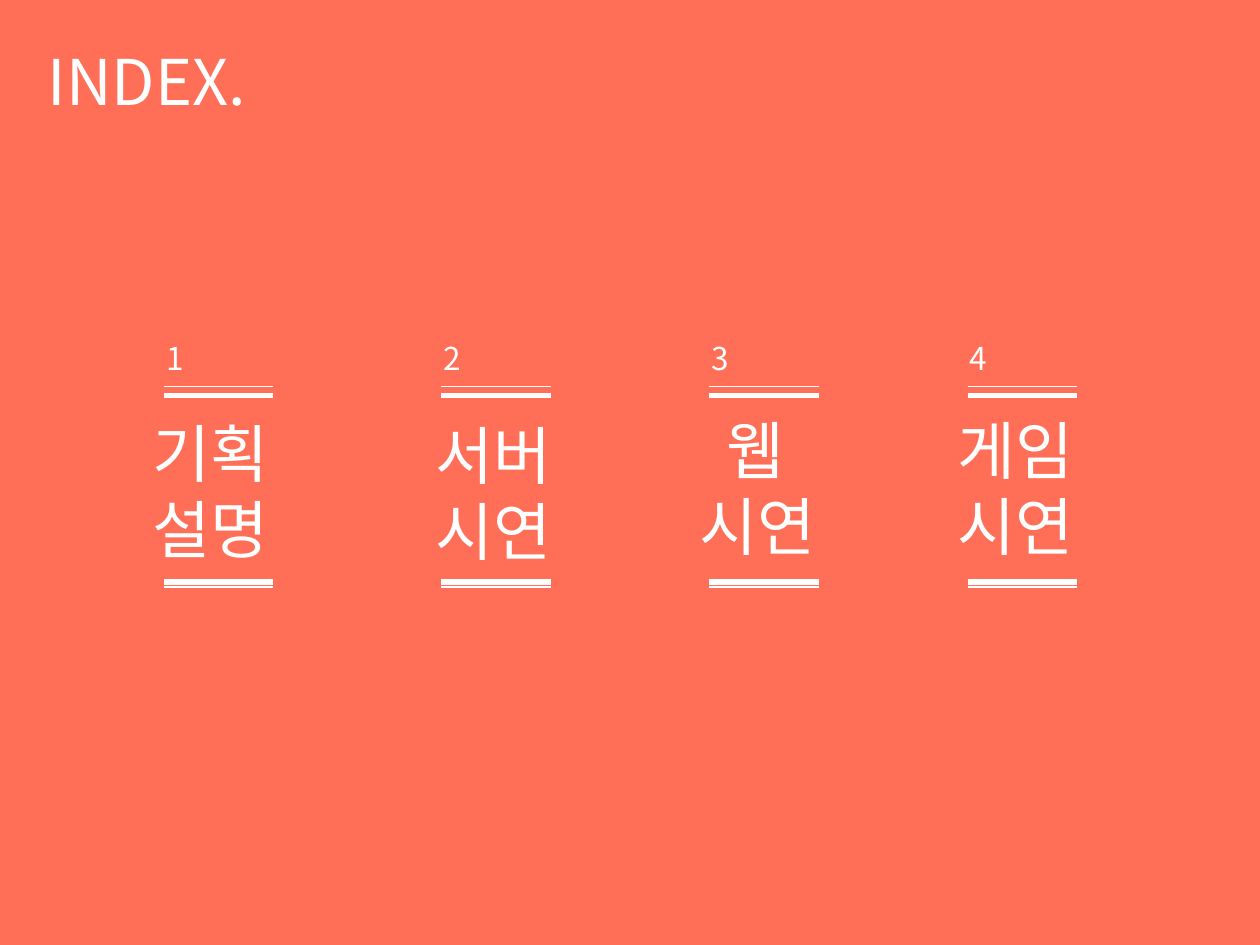
"""Build the index slide with four numbered sections."""
from lxml.etree import SubElement
from pptx import Presentation
from pptx.dml.color import RGBColor
from pptx.enum.shapes import MSO_CONNECTOR
from pptx.enum.text import MSO_ANCHOR, MSO_AUTO_SIZE, PP_ALIGN
from pptx.oxml.ns import qn
from pptx.util import Inches, Pt

COLORS = {"coral": "FF6E57", "white": "FFFFFF"}
FONT = "Noto Sans CJK KR"
RULE_WIDTH = 0.87
RULES = [(3.07, 0.75), (3.14, 3), (4.62, 3), (4.66, 0.75)]
SECTIONS = [
    (1.3, 1.11, 3.24, "기획설명"),
    (3.5, 3.36, 3.26, "서버 시연"),
    (5.63, 5.45, 3.22, "웹\n시연"),
    (7.68, 7.5, 3.22, "게임시연"),
]


def write_text(box, text, size):
    frame = box.text_frame
    frame.text = text
    frame.word_wrap = True
    frame.auto_size = MSO_AUTO_SIZE.NONE
    frame.vertical_anchor = MSO_ANCHOR.TOP
    for paragraph in frame.paragraphs:
        paragraph.alignment = PP_ALIGN.LEFT
        paragraph.line_spacing = 1.0
        for span in paragraph.runs:
            span.font.size = Pt(size)
            span.font.name = FONT
            span.font.color.rgb = RGBColor.from_string(COLORS["white"])
            SubElement(span.font._element, qn("a:ea"), typeface=FONT)


def add_rule(page, left, top, weight):
    rule = page.shapes.add_connector(
        MSO_CONNECTOR.STRAIGHT,
        Inches(left), Inches(top), Inches(left + RULE_WIDTH), Inches(top))
    rule.line.color.rgb = RGBColor.from_string(COLORS["white"])
    rule.line.width = Pt(weight)
    SubElement(rule._element.spPr, qn("a:effectLst"))


deck = Presentation()
deck.slide_width, deck.slide_height = Inches(10), Inches(7.5)
page = deck.slides.add_slide(deck.slide_layouts[5])
page.background.fill.solid()
page.background.fill.fore_color.rgb = RGBColor.from_string(COLORS["coral"])

title = page.shapes.title
title.left, title.top = Inches(0.28), Inches(0.29)
title.width, title.height = Inches(3.39), Inches(0.71)
write_text(title, "INDEX.", 36)

for number, (rule_left, name_left, name_top, name) in enumerate(SECTIONS, 1):
    name_box = page.shapes.add_textbox(
        Inches(name_left), Inches(name_top), Inches(1.26), Inches(1.31))
    write_text(name_box, name, 36)
    if "\n" in name:
        first_line = name_box.text_frame.paragraphs[0]
        first_line._p.get_or_add_pPr().set("indent", str(Inches(0.22)))

    for top, weight in RULES:
        add_rule(page, rule_left, top, weight)

    number_box = page.shapes.add_textbox(
        Inches(rule_left - 0.08), Inches(2.64), Inches(1.26), Inches(0.4))
    write_text(number_box, str(number), 18)

deck.save("out.pptx")
